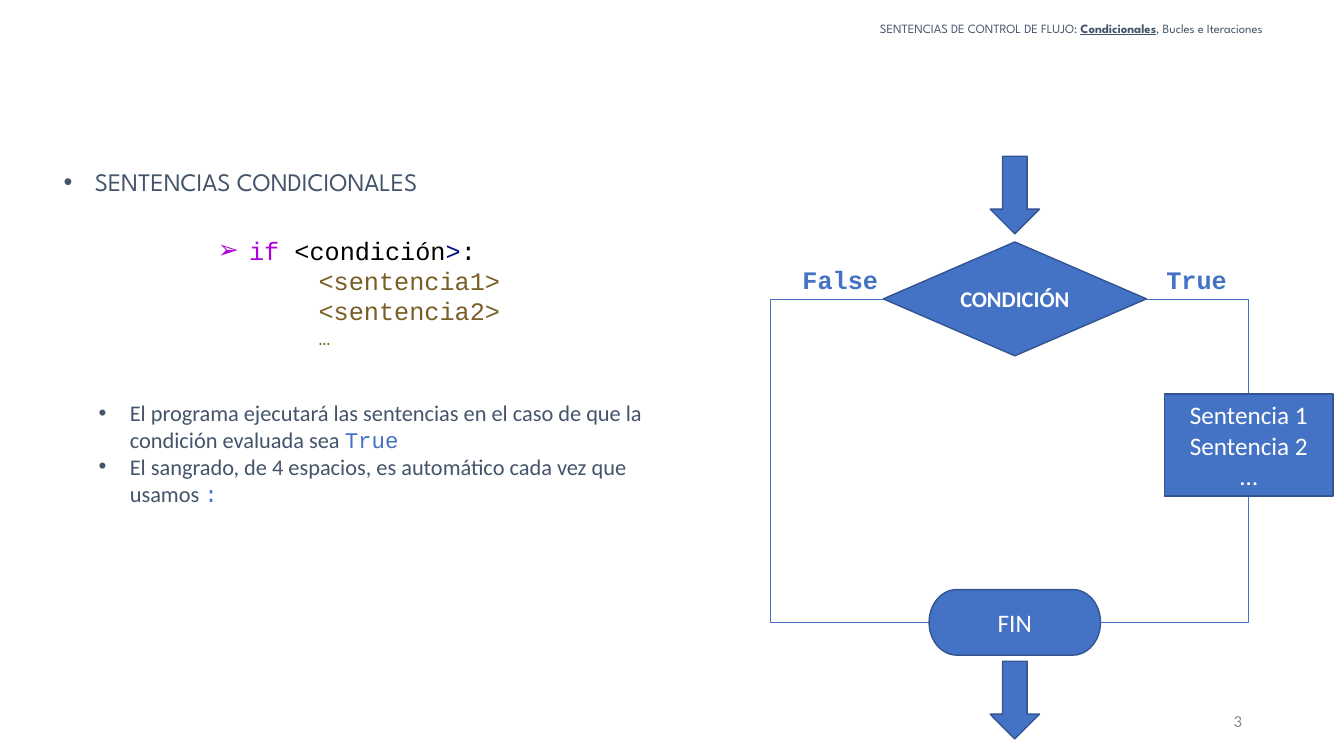
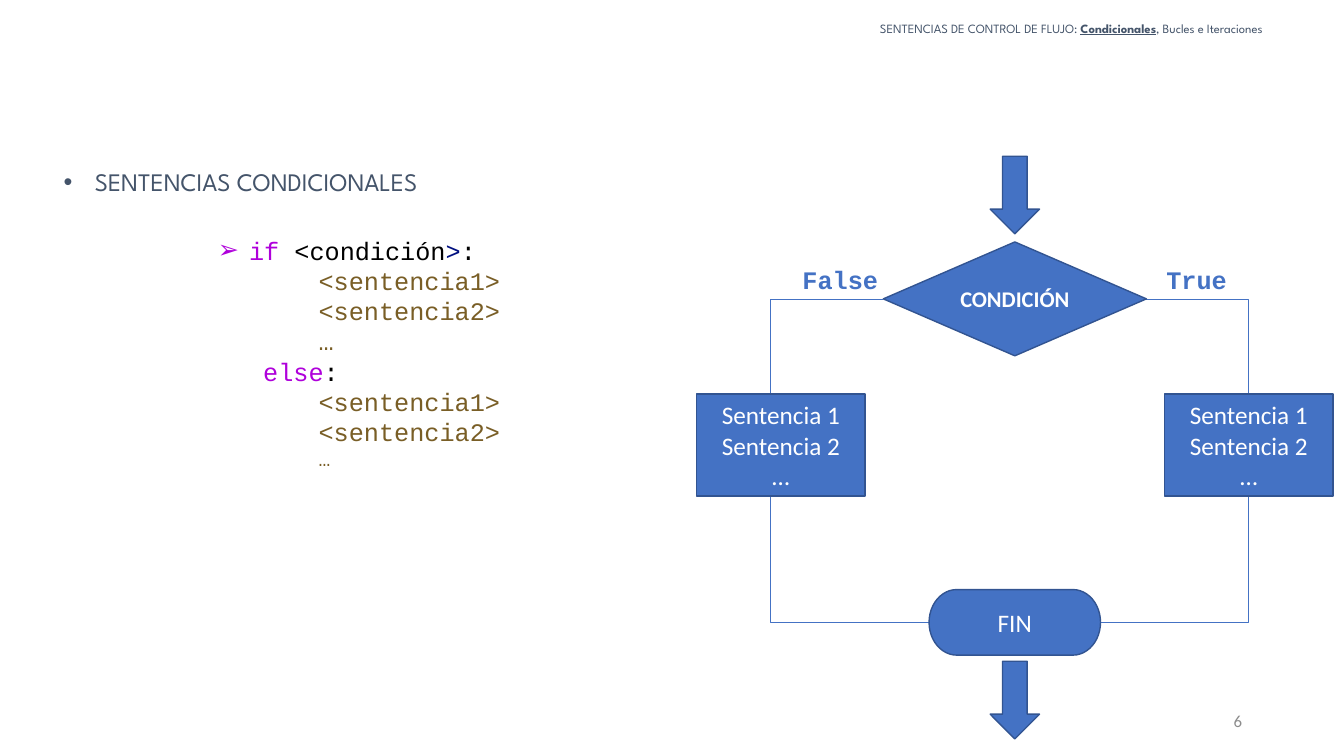
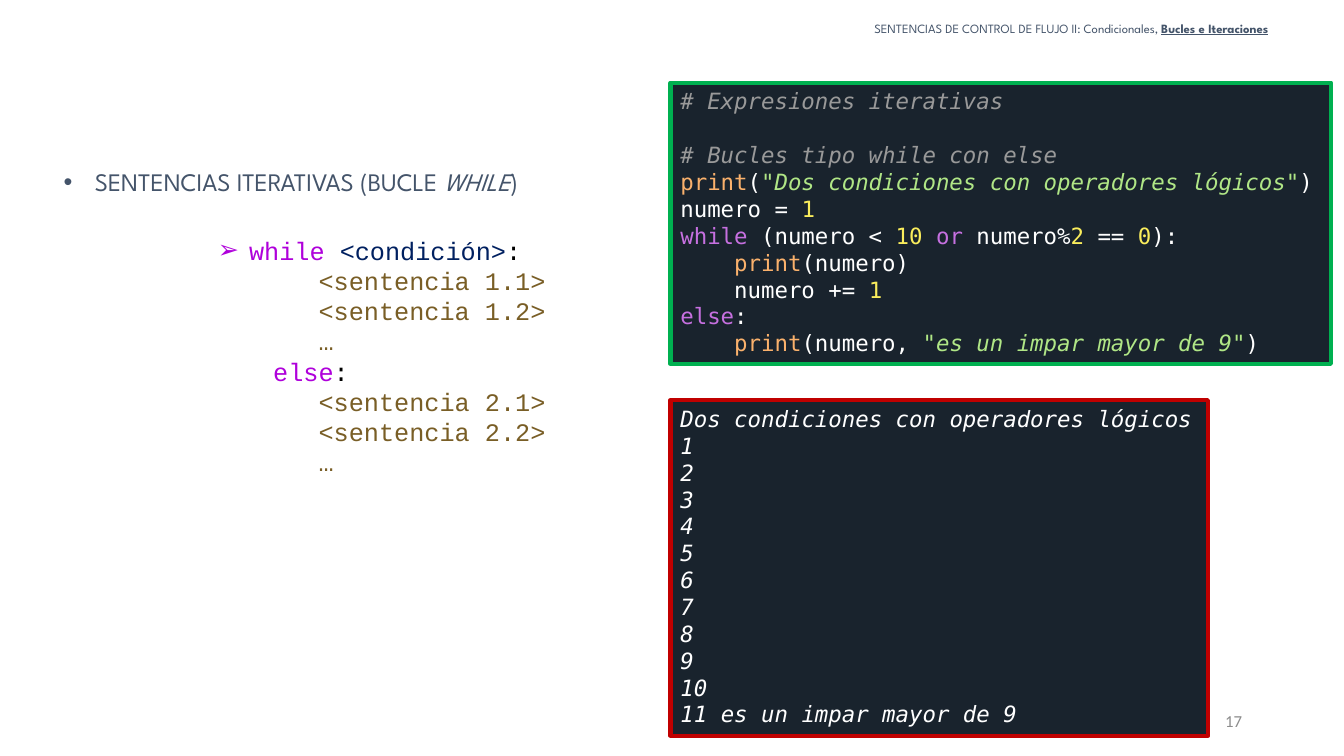
from dataclasses import dataclass

from lxml.etree import SubElement
from pptx import Presentation
from pptx.dml.color import RGBColor
from pptx.enum.shapes import MSO_CONNECTOR, MSO_SHAPE
from pptx.enum.text import MSO_ANCHOR, MSO_AUTO_SIZE, PP_ALIGN
from pptx.oxml.ns import qn
from pptx.util import Inches, Pt

SANS, MONO, CONSOLE, DISPLAY = "Calibri", "Courier New", "DejaVu Sans Mono", "League Spartan"
SLATE, BLUE, EDGE, WHITE, BLACK = "44546A", "4472C4", "325491", "FFFFFF", "000000"
GREY, KEYWORD, NAVY, INK, BROWN = "8C8C8C", "AF00DB", "001080", "002060", "795E26"
PANEL, GREEN, RED = "19232D", "00B050", "C00000"
COMMENT, CALL, STRING, NUMBER, FLOW = "999999", "FAB16C", "B0E686", "FAED5C", "C670E0"
HANG = 0.31


@dataclass
class Box:
    """An area in inches whose inner areas are given in percent of it."""
    left: float
    top: float
    width: float
    height: float

    def point(self, x, y):
        """Return the place at the given percentages."""
        return self.left + self.width * x / 100, self.top + self.height * y / 100

    def area(self, x, y, width, height):
        """Return an inner area by its left, top, width and height."""
        return Box(*self.point(x, y), self.width * width / 100, self.height * height / 100)

    def centred(self, x, y, width, height):
        """Return an inner area by its centre and size."""
        return self.area(x - width / 2, y - height / 2, width, height)

    def lengths(self):
        """Return left, top, width and height as slide lengths."""
        return [Inches(v) for v in (self.left, self.top, self.width, self.height)]


@dataclass
class Line:
    """A paragraph of (text, colour, flags, font) runs."""
    runs: list
    left: float = 0
    bullet: str = ""
    size: float = 0
    gap: float = 0


PAGE = Box(0, 0, 13.33, 7.5)


def colour(value):
    """Turn a hex string into a colour."""
    return RGBColor.from_string(value)


def add_run(paragraph, size, default_font, text, tint, flags="", font=None):
    """Add one formatted run."""
    run = paragraph.add_run()
    run.text = text
    run.font.name = font or default_font
    run.font.size = Pt(size)
    run.font.color.rgb = colour(tint)
    run.font.bold = "b" in flags
    run.font.italic = "i" in flags
    run.font.underline = "u" in flags


def write(shape, lines, font, size, align=PP_ALIGN.LEFT, anchor=MSO_ANCHOR.TOP, wrap=True, spacing=1.0):
    """Fill a shape with formatted paragraphs."""
    frame = shape.text_frame
    frame.word_wrap = wrap
    frame.auto_size = MSO_AUTO_SIZE.NONE
    frame.vertical_anchor = anchor
    for index, line in enumerate(lines):
        paragraph = frame.paragraphs[0] if index == 0 else frame.add_paragraph()
        properties = paragraph._p.get_or_add_pPr()
        properties.set("marL", str(Inches(line.left)))
        properties.set("indent", str(Inches(-HANG if line.bullet else 0)))
        if line.bullet:
            SubElement(properties, qn("a:buFont")).set("typeface", "Arial")
            SubElement(properties, qn("a:buChar")).set("char", line.bullet)
        else:
            SubElement(properties, qn("a:buNone"))
        paragraph.alignment = align
        paragraph.line_spacing = spacing
        paragraph.space_before = Pt(line.gap)
        paragraph.space_after = Pt(0)
        for run in line.runs:
            add_run(paragraph, line.size or size, font, *run)


def move(shape, box):
    """Place a placeholder in a box."""
    shape.left, shape.top, shape.width, shape.height = box.lengths()
    return shape


def add_text(slide, box, lines, font, size, **layout):
    """Add a text box."""
    write(slide.shapes.add_textbox(*box.lengths()), lines, font, size, **layout)


def add_block(slide, kind, box, fill=BLUE, edge=EDGE, weight=1):
    """Add a filled and outlined preset shape."""
    block = slide.shapes.add_shape(kind, *box.lengths())
    block.shadow.inherit = False
    block.fill.solid()
    block.fill.fore_color.rgb = colour(fill)
    block.line.color.rgb = colour(edge)
    block.line.width = Pt(weight)
    return block


def add_node(slide, kind, box, labels, size=18, flags=""):
    """Add a flowchart node with centred labels."""
    write(add_block(slide, kind, box), [Line([(label, WHITE, flags)]) for label in labels],
          SANS, size, align=PP_ALIGN.CENTER, anchor=MSO_ANCHOR.MIDDLE)


def add_branch(slide, start, end, lane):
    """Add an elbow connector that runs along a vertical lane."""
    branch = slide.shapes.add_connector(MSO_CONNECTOR.ELBOW, *[Inches(v) for v in (*start, *end)])
    branch.line.color.rgb = colour(BLUE)
    branch.line.width = Pt(0.5)
    properties = branch._element.spPr
    SubElement(properties, qn("a:effectLst"))
    guide = SubElement(properties.find(qn("a:prstGeom")).get_or_add_avLst(), qn("a:gd"))
    share = round((lane - start[0]) / (end[0] - start[0]) * 100000)
    guide.set("name", "adj1")
    guide.set("fmla", f"val {share}")


def add_flowchart(slide, box, with_else):
    """Draw the conditional flowchart inside a box."""
    axis, true_x, false_x, false_lane = 50, 86.77, 13.23, 11.57
    condition_y, sentences_y, end_y = 24.48, 49.57, 80
    condition = (41.36, 19.55)
    sentences = (26.47, 17.47)
    finish = (26.94, 11.25)
    true_lane = box.point(true_x, 0)[0]
    add_branch(slide, box.point(axis + condition[0] / 2, condition_y),
               box.point(true_x, sentences_y - sentences[1] / 2), true_lane)
    add_branch(slide, box.point(axis + finish[0] / 2, end_y),
               box.point(true_x, sentences_y + sentences[1] / 2), true_lane)
    add_branch(slide, box.point(axis - condition[0] / 2, condition_y),
               box.point(axis - finish[0] / 2, end_y), box.point(false_lane, 0)[0])
    for arrow_y in (6.66, 93.34):
        add_block(slide, MSO_SHAPE.DOWN_ARROW, box.centred(axis, arrow_y, 7.77, 13.32))
    add_node(slide, MSO_SHAPE.FLOWCHART_DECISION, box.centred(axis, condition_y, *condition),
             ["CONDICIÓN"], 16, "b")
    add_node(slide, MSO_SHAPE.FLOWCHART_TERMINATOR, box.centred(axis, end_y, *finish), ["FIN"])
    for x in (true_x, false_x) if with_else else (true_x,):
        add_node(slide, MSO_SHAPE.FLOWCHART_PROCESS, box.centred(x, sentences_y, *sentences),
                 ["Sentencia 1", "Sentencia 2", "…"])
    for answer, x, width in (("True", 78.68, 12.84), ("False", 22.66, 15.21)):
        add_text(slide, box.centred(x, 21.11, width, 6.92), [Line([(answer, BLUE, "b")])],
                 MONO, 18, wrap=False)


def add_console(slide, box, edge, lines):
    """Add a dark panel with code or its output."""
    write(add_block(slide, MSO_SHAPE.RECTANGLE, box, PANEL, edge, 3), lines, CONSOLE, 16)


def sentence_lines(names, last_size=18):
    """Return the indented sentences of a code block."""
    lines = [Line([(f"<{name}>", BROWN)], 3) for name in names]
    return lines + [Line([("…", BROWN)], 3, size=last_size)]


def else_line(left):
    """Return the else line of a syntax block."""
    return Line([("else", KEYWORD), (":", BLACK)], left)


def add_lesson(deck, header, topic, syntax, number):
    """Add a slide with header, topic, syntax block and number."""
    slide = deck.slides.add_slide(deck.slide_layouts[3])
    title, heading, code = slide.placeholders
    write(move(title, PAGE.area(59.79, 2.27, 39.83, 3.73)), [Line(header)], DISPLAY, 9,
          align=PP_ALIGN.CENTER, spacing=0.9)
    write(move(heading, PAGE.area(3.98, 21.33, 44.34, 5.33)), [Line(topic, HANG, "•")], DISPLAY, 18)
    write(move(code, PAGE.area(0.45, 30.4, 50.04, 33.6)), syntax, MONO, 18)
    add_text(slide, PAGE.area(70.67, 92.67, 22.5, 5.33), [Line([(number, GREY)])], SANS, 12,
             align=PP_ALIGN.RIGHT, anchor=MSO_ANCHOR.MIDDLE)
    return slide


def add_conditional(deck, number, with_else):
    """Add a slide on the if sentence."""
    names = ["sentencia1", "sentencia2"]
    header = [("SENTENCIAS DE CONTROL DE FLUJO: ", SLATE), ("Condicionales", SLATE, "bu"),
              (", Bucles e Iteraciones", SLATE)]
    syntax = [Line([("if", KEYWORD), (" <condición", BLACK), (">", NAVY), (":", BLACK)], 2.31, "➢")]
    if with_else:
        syntax += sentence_lines(names) + [else_line(2.45)]
    syntax += sentence_lines(names, 14)
    slide = add_lesson(deck, header, [("SENTENCIAS CONDICIONALES", SLATE)], syntax, number)
    add_flowchart(slide, PAGE.area(51.84, 20.67, 47.34, 77.07), with_else)
    return slide


def add_explanation(slide, box):
    """Add the notes on how the if sentence runs."""
    notes = [("El programa ejecutará las sentencias en el caso de que la condición evaluada sea ", "True"),
             ("El sangrado, de 4 espacios, es automático cada vez que usamos ", ":")]
    add_text(slide, box, [Line([(note, SLATE), (token, BLUE, "", MONO)], HANG, "•")
                          for note, token in notes], SANS, 16)


def add_while(deck, number):
    """Add the slide on the while loop with its example."""
    header = [("SENTENCIAS DE CONTROL DE FLUJO II: Condicionales, ", SLATE),
              ("Bucles e Iteraciones", SLATE, "bu")]
    topic = [("SENTENCIAS ITERATIVAS (BUCLE ", SLATE), ("WHILE", SLATE, "i"), (")", SLATE)]
    syntax = [Line([("while ", KEYWORD), ("<condición>", INK), (":", BLACK)], 2.31, "➢"),
              *sentence_lines(["sentencia 1.1", "sentencia 1.2"]), else_line(2.55),
              *sentence_lines(["sentencia 2.1", "sentencia 2.2"])]
    slide = add_lesson(deck, header, topic, syntax, number)
    program = [
        Line([("# Expresiones iterativas", COMMENT, "i")]),
        Line([("# Bucles tipo while con else", COMMENT, "i")], gap=19.2),
        Line([("print", CALL), ("(", WHITE),
              ('"Dos condiciones con operadores lógicos"', STRING, "i"), (")", WHITE)]),
        Line([("numero = ", WHITE), ("1", NUMBER)]),
        Line([("while", FLOW), (" (numero < ", WHITE), ("10 ", NUMBER), ("or", FLOW),
              (" numero%", WHITE), ("2", NUMBER), (" == ", WHITE), ("0", NUMBER), ("):", WHITE)]),
        Line([("    ", WHITE), ("print", CALL), ("(numero)", WHITE)]),
        Line([("    numero += ", WHITE), ("1", NUMBER)]),
        Line([("else", FLOW), (":", WHITE)]),
        Line([("    ", WHITE), ("print", CALL), ("(numero, ", WHITE),
              ('"es un impar mayor de 9"', STRING, "i"), (")", WHITE)]),
    ]
    output = ["Dos condiciones con operadores lógicos", *map(str, range(1, 11)),
              "11 es un impar mayor de 9"]
    add_console(slide, PAGE.area(49.89, 10.93, 49.14, 37.2), GREEN, program)
    add_console(slide, PAGE.area(49.89, 52.93, 39.98, 44.4), RED,
                [Line([(text, WHITE, "i")]) for text in output])


def main():
    """Build and save the slides."""
    deck = Presentation()
    deck.slide_width, deck.slide_height = PAGE.lengths()[2:]
    add_explanation(add_conditional(deck, "3", False), PAGE.area(6.6, 52.13, 44.41, 15.73))
    add_conditional(deck, "6", True)
    add_while(deck, "17")
    deck.save("out.pptx")


if __name__ == "__main__":
    main()
